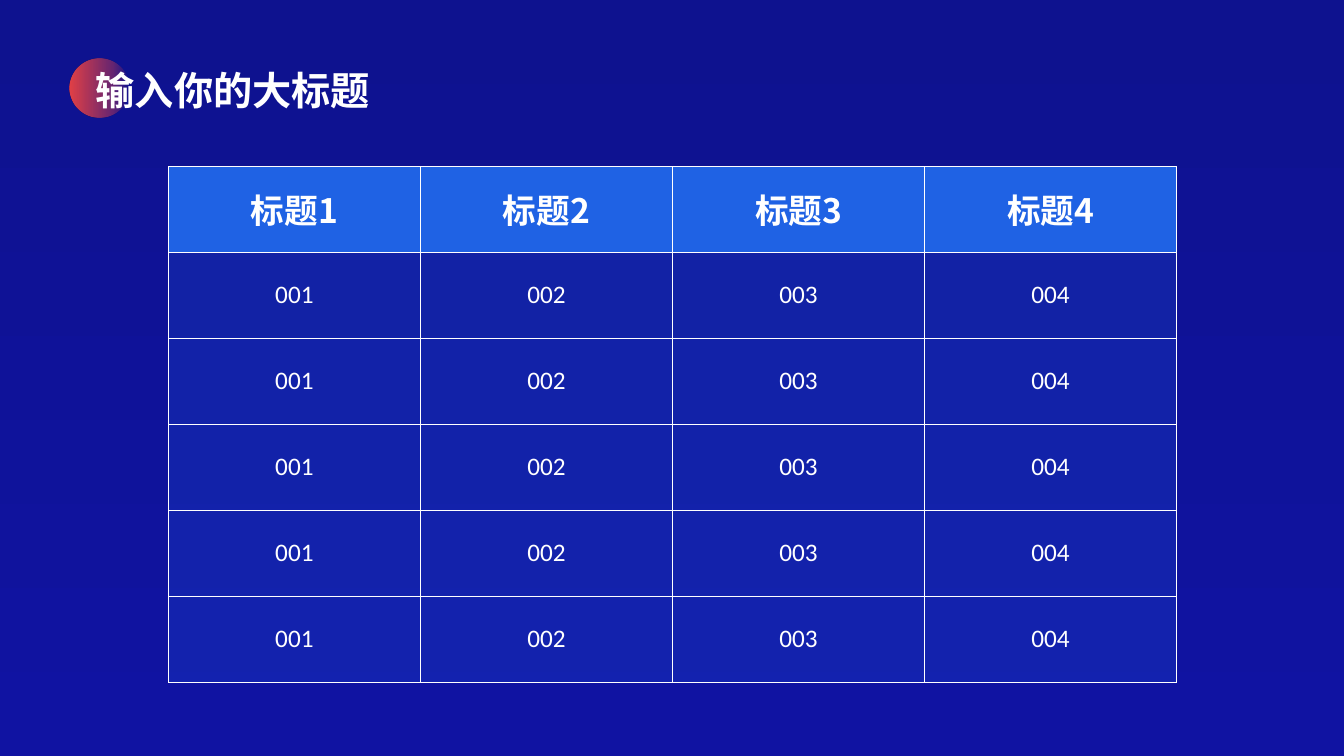
import pptx
import pptx.util
import pptx.dml.color
import pptx.enum.shapes
import pptx.enum.text
import pptx.oxml.ns
import lxml.etree

Inches = pptx.util.Inches
RGBColor = pptx.dml.color.RGBColor
qn = pptx.oxml.ns.qn
SubElement = lxml.etree.SubElement

WHITE = RGBColor(0xFF, 0xFF, 0xFF)
BLUE = RGBColor(0x1F, 0x62, 0xE4)
RED = RGBColor(0xE3, 0x41, 0x46)
NAVY_TOP = RGBColor(0x0E, 0x12, 0x8F)
NAVY_BOTTOM = RGBColor(0x10, 0x13, 0xA2)
CJK_FONT = "Noto Sans CJK SC"


def write_text(frame, text, size, font, bold, align):
    frame.vertical_anchor = pptx.enum.text.MSO_ANCHOR.MIDDLE
    para = frame.paragraphs[0]
    para.alignment = align
    span = para.add_run()
    span.text = text
    span.font.size = pptx.util.Pt(size)
    span.font.name = font
    span.font.bold = bold
    span.font.color.rgb = WHITE
    SubElement(span.font._element, qn("a:ea"), typeface=font)


def add_color(parent, color, opacity):
    tint = SubElement(parent, qn("a:srgbClr"), val=str(color))
    if opacity < 100:
        SubElement(tint, qn("a:alpha"), val=str(opacity * 1000))


deck = pptx.Presentation()
deck.slide_width = Inches(13.33)
deck.slide_height = Inches(7.5)
page = deck.slides.add_slide(deck.slide_layouts[5])

# Background, darker at the top
backdrop = page.background.fill
backdrop.gradient()
backdrop.gradient_angle = 270
for stop, color in zip(backdrop.gradient_stops, (NAVY_TOP, NAVY_BOTTOM)):
    stop.color.rgb = color
for stop, position in zip(backdrop.gradient_stops, (0, 1)):
    stop.position = position

# Title
title = page.shapes.title
title.left, title.top = Inches(0.85), Inches(0.61)
title.width, title.height = Inches(4.09), Inches(0.57)
title.text_frame.word_wrap = True
title.text_frame.auto_size = pptx.enum.text.MSO_AUTO_SIZE.SHAPE_TO_FIT_TEXT
write_text(title.text_frame, "输入你的大标题", size=28, font=CJK_FONT, bold=True,
           align=pptx.enum.text.PP_ALIGN.LEFT)

# Fading red disc behind the title
disc = page.shapes.add_shape(pptx.enum.shapes.MSO_SHAPE.OVAL,
                             Inches(0.69), Inches(0.58), Inches(0.59), Inches(0.59))
disc.shadow.inherit = False
disc.line.fill.background()
disc.fill.gradient()
disc.fill.gradient_angle = 0
stop_list = disc.element.find(".//" + qn("a:gsLst"))
for old_stop in list(stop_list):
    stop_list.remove(old_stop)
for position, opacity in ((0, 100), (73, 40), (100, 0)):
    stop = SubElement(stop_list, qn("a:gs"), pos=str(position * 1000))
    add_color(stop, RED, opacity)
title.element.addprevious(disc.element)

# Table
header = [f"标题{number}" for number in range(1, 5)]
values = [f"{number:03d}" for number in range(1, 5)]
rows = [header] + [values] * 5
table = page.shapes.add_table(len(rows), len(header), Inches(1.67), Inches(1.65),
                              Inches(10), Inches(5.12)).table
table.horz_banding = False
for row_index, labels in enumerate(rows):
    is_header = row_index == 0
    for column_index, label in enumerate(labels):
        cell = table.cell(row_index, column_index)
        write_text(cell.text_frame, label, size=24 if is_header else 18,
                   font=CJK_FONT if is_header else "Calibri", bold=is_header,
                   align=pptx.enum.text.PP_ALIGN.CENTER)
        cell.vertical_anchor = pptx.enum.text.MSO_ANCHOR.MIDDLE

        # Thin white borders, then the fill
        properties = cell._tc.get_or_add_tcPr()
        for side in ("a:lnL", "a:lnR", "a:lnT", "a:lnB"):
            border = SubElement(properties, qn(side), w=str(pptx.util.Pt(0.5)))
            add_color(SubElement(border, qn("a:solidFill")), WHITE, 100)
        add_color(SubElement(properties, qn("a:solidFill")), BLUE, 100 if is_header else 20)

deck.save("out.pptx")
